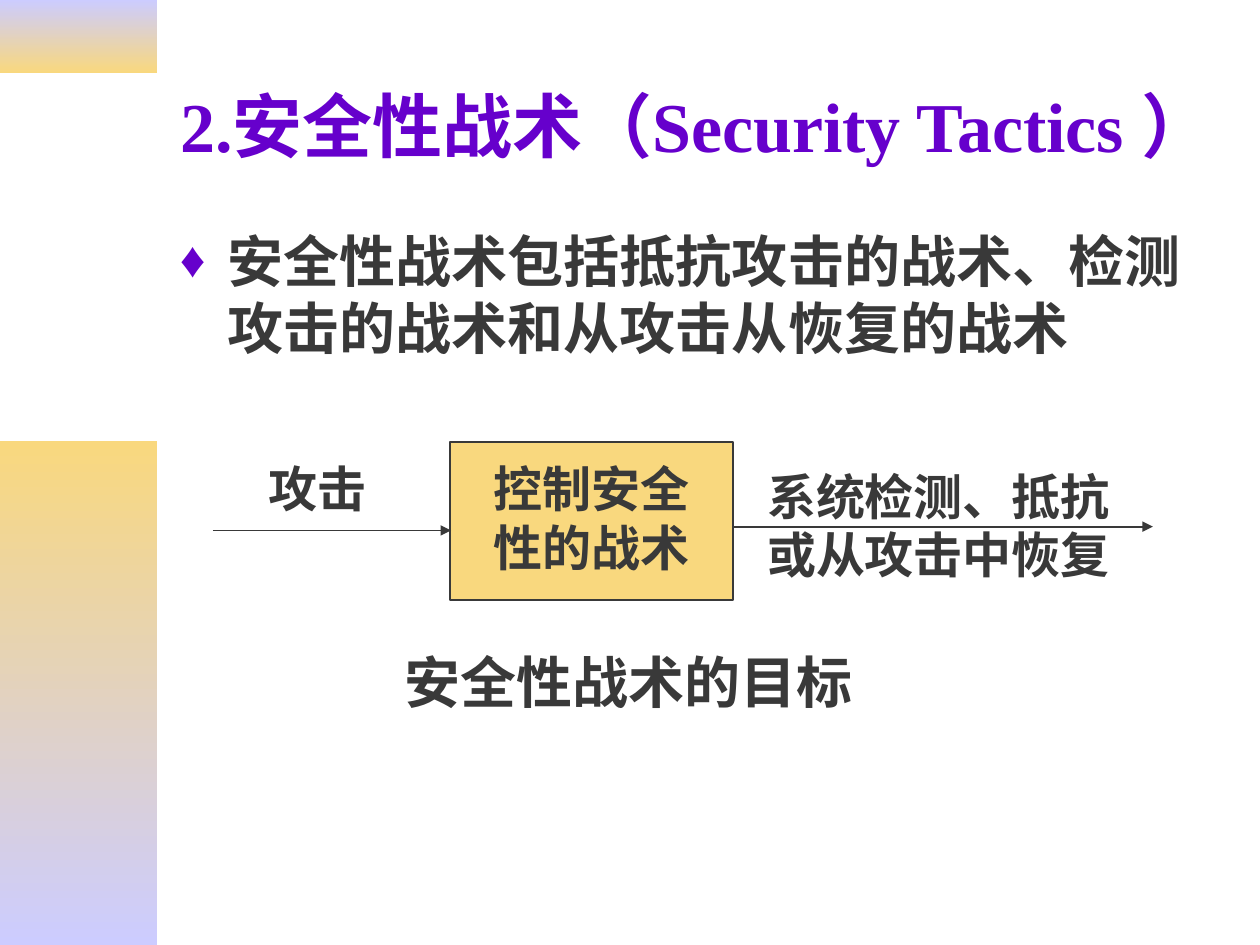
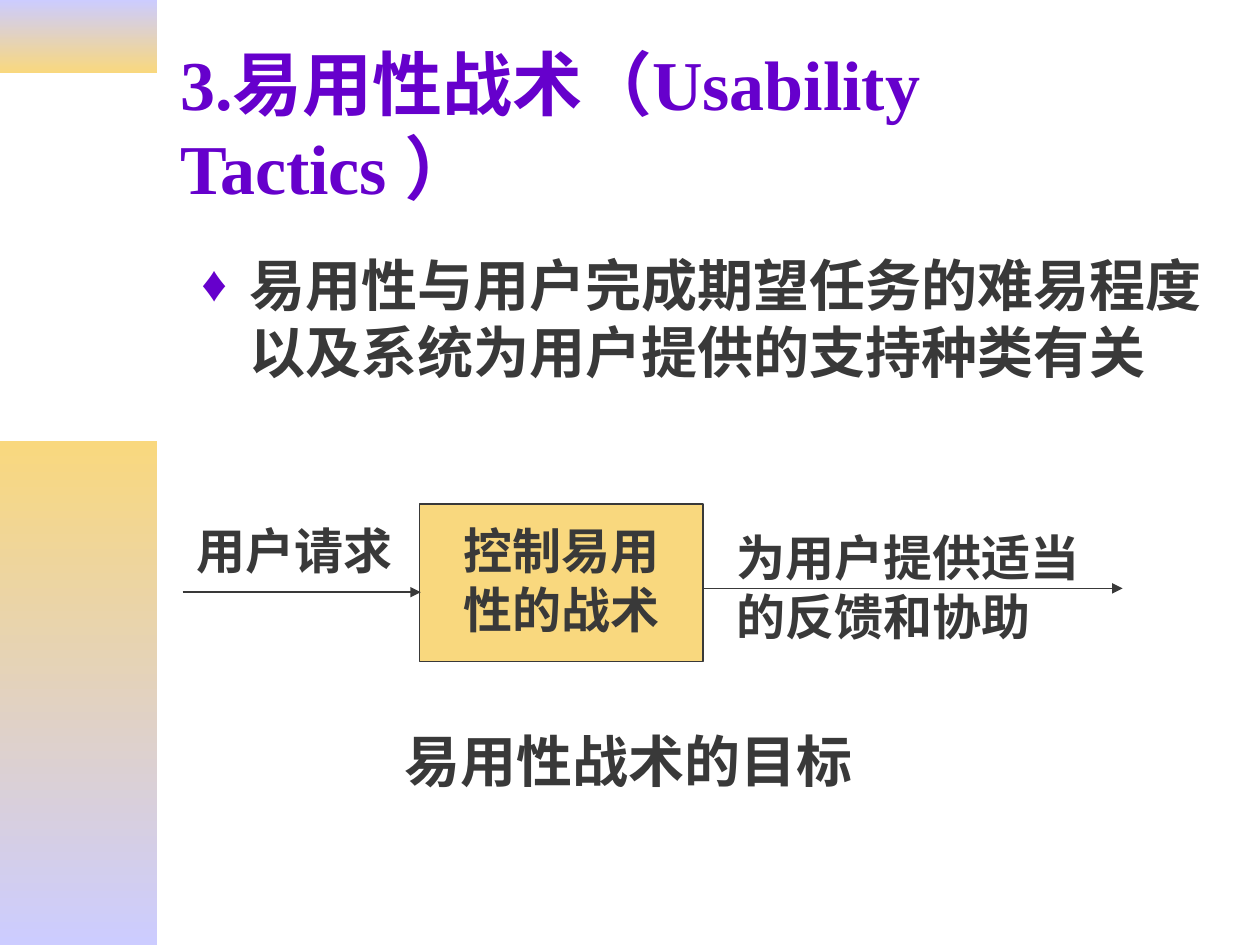
from dataclasses import dataclass

from lxml.etree import SubElement
from pptx import Presentation
from pptx.dml.color import RGBColor
from pptx.enum.lang import MSO_LANGUAGE_ID
from pptx.enum.shapes import MSO_CONNECTOR, MSO_SHAPE
from pptx.enum.text import MSO_ANCHOR, MSO_AUTO_SIZE, PP_ALIGN
from pptx.oxml.ns import qn
from pptx.util import Inches, Pt


@dataclass(frozen=True)
class Theme:
    font: str = "Times New Roman"
    title_color: str = "6600CC"
    ink: str = "393939"
    gold: str = "F9D87E"
    lavender: str = "CCCCFF"
    title_size: int = 40
    body_size: int = 32
    label_size: int = 28
    line_width: int = 1


class TacticsDeck:
    def __init__(self, theme):
        self.theme = theme
        self.deck = Presentation()
        self.deck.slide_width = Inches(10)
        self.deck.slide_height = Inches(7.5)
        self.page = None

    # Page frame
    def add_page(self, title):
        theme = self.theme
        self.page = self.deck.slides.add_slide(self.deck.slide_layouts[5])
        self.band(0, 0.58, theme.lavender, theme.gold)
        self.band(3.5, 4, theme.gold, theme.lavender)
        box = self.page.shapes.title
        box.left, box.top = Inches(1.33), Inches(0.33)
        box.width, box.height = Inches(8.5), Inches(1.32)
        frame = box.text_frame
        frame.auto_size = MSO_AUTO_SIZE.NONE
        frame.vertical_anchor = MSO_ANCHOR.MIDDLE
        self.add_span(frame.paragraphs[0], title, theme.title_size, theme.title_color)

    def band(self, top, height, upper, lower):
        band = self.rectangle(0, top, 1.25, height)
        band.line.fill.background()
        band.fill.gradient()
        band.fill.gradient_angle = 270
        for stop, color, position in zip(band.fill.gradient_stops, (upper, lower), (0, 1)):
            stop.color.rgb = RGBColor.from_string(color)
            stop.position = position

    # Basic elements
    def rectangle(self, left, top, width, height):
        shape = self.page.shapes.add_shape(
            MSO_SHAPE.RECTANGLE, Inches(left), Inches(top), Inches(width), Inches(height))
        shape.shadow.inherit = False
        return shape

    def outline(self, line):
        line.color.rgb = RGBColor.from_string(self.theme.ink)
        line.width = Pt(self.theme.line_width)

    def add_span(self, para, words, size, color):
        para.alignment = PP_ALIGN.LEFT
        span = para.add_run()
        span.text = words
        span.font.name = self.theme.font
        span.font.size = Pt(size)
        span.font.bold = True
        span.font.color.rgb = RGBColor.from_string(color)
        span.font.language_id = MSO_LANGUAGE_ID.SIMPLIFIED_CHINESE

    def text(self, words, left, top, width, height, size, bullet=False):
        box = self.page.shapes.add_textbox(
            Inches(left), Inches(top), Inches(width), Inches(height))
        frame = box.text_frame
        frame.word_wrap = True
        para = frame.paragraphs[0]
        if bullet:
            self.add_bullet(para)
        else:
            frame.auto_size = MSO_AUTO_SIZE.SHAPE_TO_FIT_TEXT
        self.add_span(para, words, size, self.theme.ink)

    def add_bullet(self, para):
        props = para._p.get_or_add_pPr()
        props.set("marL", str(Inches(0.38)))
        props.set("indent", str(-Inches(0.38)))
        color = SubElement(props, qn("a:buClr"))
        SubElement(color, qn("a:srgbClr"), val=self.theme.title_color)
        SubElement(props, qn("a:buSzPct"), val="90000")
        SubElement(props, qn("a:buFont"), typeface=self.theme.font)
        SubElement(props, qn("a:buChar"), char="♦")

    def arrow(self, start, end, y):
        arrow = self.page.shapes.add_connector(
            MSO_CONNECTOR.STRAIGHT, Inches(start), Inches(y), Inches(end), Inches(y))
        self.outline(arrow.line)
        SubElement(arrow.line._get_or_add_ln(), qn("a:tailEnd"), type="triangle")
        SubElement(arrow._element.spPr, qn("a:effectLst"))

    # Stimulus, tactics box and response, placed relative to the box corner
    def diagram(self, left, top, stimulus, stimulus_width, tactics, response):
        theme = self.theme
        self.arrow(left + 2.25, left + 5.58, top + 0.67)
        box = self.rectangle(left, top, 2.25, 1.25)
        box.fill.solid()
        box.fill.fore_color.rgb = RGBColor.from_string(theme.gold)
        self.outline(box.line)
        size = theme.label_size
        self.text(tactics, left + 0.25, top + 0.08, 1.83, 1.04, size)
        # The stimulus is centred over the incoming arrow
        self.text(stimulus, left - 0.96 - stimulus_width / 2, top + 0.08,
                  stimulus_width, 0.57, size)
        self.text(response, left + 2.42, top + 0.14, 2.95, 1.04, size)
        self.arrow(left - 1.88, left + 0.01, top + 0.7)

    def statement(self, words, left, top):
        self.text(words, left, top, 8.5, 1.53, self.theme.body_size, bullet=True)

    def caption(self, words, top):
        self.text(words, 3.11, top, 3.92, 0.64, self.theme.body_size)


def main():
    tactics = TacticsDeck(Theme())

    # Security tactics
    tactics.add_page("2.安全性战术（Security Tactics ）")
    tactics.statement("安全性战术包括抵抗攻击的战术、检测攻击的战术和从攻击从恢复的战术", 1.33, 1.75)
    tactics.diagram(3.57, 3.51, "攻击", 1.16, "控制安全性的战术", "系统检测、抵抗或从攻击中恢复")
    tactics.caption("安全性战术的目标", 5.09)

    # Usability tactics
    tactics.add_page("3.易用性战术（Usability Tactics ）")
    tactics.statement("易用性与用户完成期望任务的难易程度以及系统为用户提供的支持种类有关", 1.5, 1.94)
    tactics.diagram(3.33, 4, "用户请求", 1.81, "控制易用性的战术", "为用户提供适当的反馈和协助")
    tactics.caption("易用性战术的目标", 5.72)

    tactics.deck.save("out.pptx")


if __name__ == "__main__":
    main()
